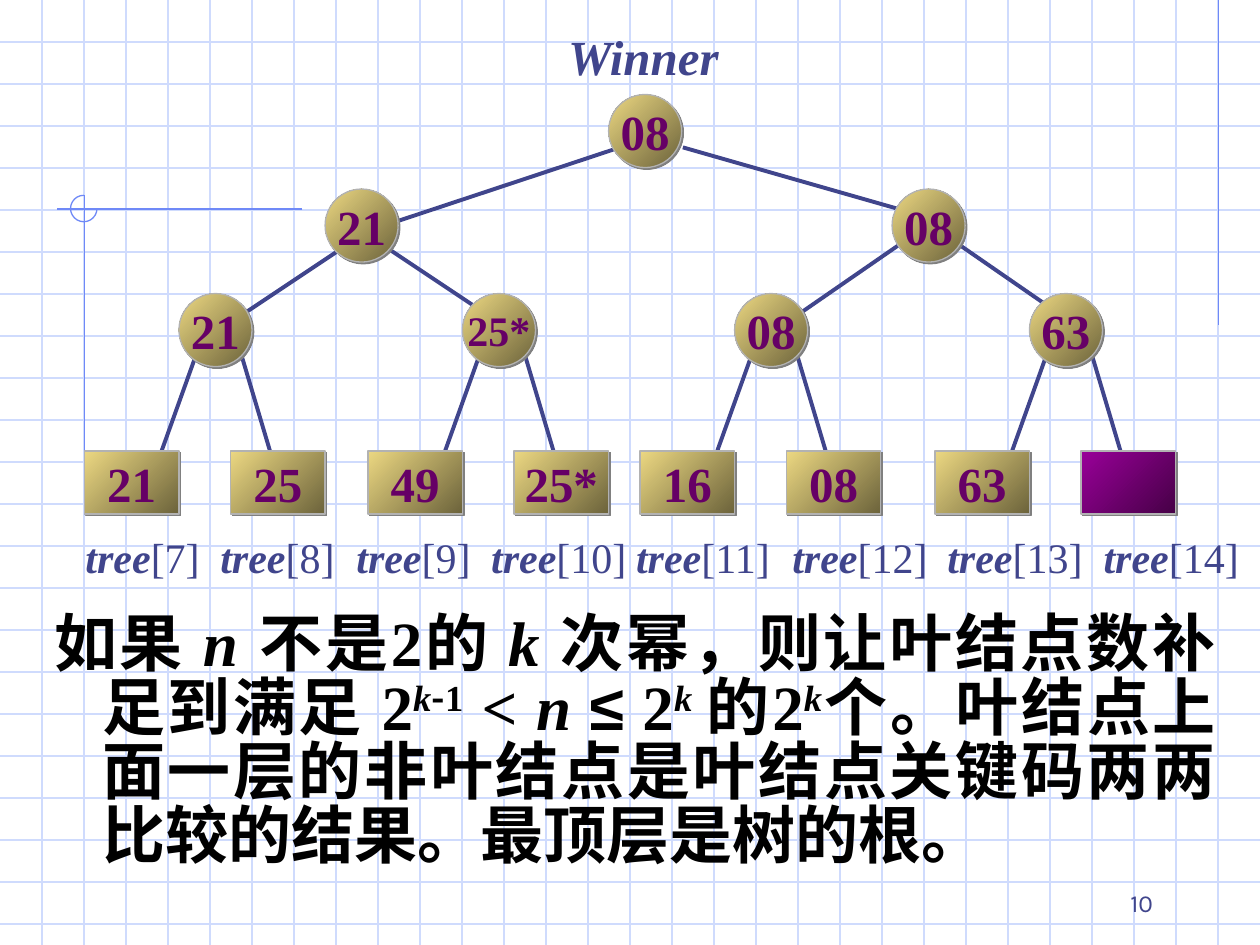
from dataclasses import dataclass

import pptx
import pptx.dml.color
import pptx.enum.shapes
import pptx.enum.text
import pptx.oxml.ns
import pptx.util
from lxml import etree

Inches = pptx.util.Inches
Pt = pptx.util.Pt
RGB = pptx.dml.color.RGBColor
Form = pptx.enum.shapes.MSO_SHAPE
Align = pptx.enum.text.PP_ALIGN
Anchor = pptx.enum.text.MSO_ANCHOR
qn = pptx.oxml.ns.qn

GRID = RGB(0xCF, 0xDB, 0xFD)
TRIM = RGB(0x6F, 0x89, 0xF7)
NAVY = RGB(0x40, 0x45, 0x8C)
PLUM = RGB(0x66, 0x00, 0x66)
GREY = RGB(0xB2, 0xB2, 0xB2)
BLACK = RGB(0x00, 0x00, 0x00)
GOLD = (RGB(0x6C, 0x63, 0x3B), RGB(0xEC, 0xD8, 0x82))
VIOLET = (RGB(0x46, 0x00, 0x46), RGB(0x99, 0x00, 0x99))
SERIF = "Times New Roman"
HAN = "Noto Sans CJK SC"


@dataclass
class Node:
    text: str
    left: float
    top: float
    size: int = 28


@dataclass
class Edge:
    x1: float
    y1: float
    x2: float
    y2: float


@dataclass
class Part:
    text: str
    bold: bool = True
    slant: bool = False
    sup: bool = False
    face: str = SERIF


ROOT = [Node("08", 4.83, 0.75), Node("21", 2.58, 1.5), Node("08", 7.08, 1.5)]
PAIRS = [
    Node("21", 1.42, 2.33),
    Node("25*", 3.67, 2.33, 24),
    Node("08", 5.83, 2.33),
    Node("63", 8.17, 2.33),
]
KEYS = ["21", "25", "49", "25*", "16", "08", "63", ""]
EDGES = [
    Edge(5.42, 1.17, 7.17, 1.67),
    Edge(3.17, 1.75, 4.92, 1.17),
    Edge(7.17, 1.92, 6.33, 2.5),
    Edge(3, 1.92, 3.75, 2.42),
    Edge(7.58, 1.92, 8.42, 2.5),
    Edge(2.67, 2, 1.92, 2.5),
]
STOPS = [1.07, 2.15, 3.22, 4.37, 5.61, 6.84, 8.08]
NOTE = [
    Part("如果 "),
    Part("n ", slant=True),
    Part("不是2的 "),
    Part("k ", slant=True),
    Part("次幂，则让叶结点数补足到满足 2"),
    Part("k", slant=True, sup=True),
    Part("-", sup=True, face=HAN),
    Part("1", sup=True),
    Part(" < "),
    Part("n ", slant=True),
    Part("≤", face="Arial"),
    Part(" 2"),
    Part("k ", slant=True, sup=True),
    Part("的2"),
    Part("k", slant=True, sup=True),
    Part("个。叶结点上面一层的非叶结点是叶结点关键码两两比较的结果。最顶层是树的根。"),
]


def draw_line(slide, edge: Edge, color: RGB, width: float):
    line = slide.shapes.add_connector(
        pptx.enum.shapes.MSO_CONNECTOR.STRAIGHT,
        Inches(edge.x1), Inches(edge.y1), Inches(edge.x2), Inches(edge.y2),
    )
    line.line.color.rgb = color
    line.line.width = Pt(width)
    etree.SubElement(line.element.spPr, qn("a:effectLst"))
    return line


def draw_back(slide) -> None:
    marks = [
        draw_line(slide, Edge(0, i / 3, 10, i / 3), GRID, 0.75) for i in range(1, 23)
    ] + [
        draw_line(slide, Edge(i / 3, 0, i / 3, 7.5), GRID, 0.75) for i in range(1, 30)
    ]
    for edge in (
        Edge(9.67, 0, 9.67, 2.58),
        Edge(2.4, 1.66, 0.45, 1.66),
        Edge(0.67, 1.55, 0.67, 4.09),
    ):
        marks.append(draw_line(slide, edge, TRIM, 0.75))
    arc = slide.shapes.add_shape(
        Form.ARC, Inches(0.56), Inches(1.55), Inches(0.21), Inches(0.21)
    )
    arc.adjustments[0] = 0
    arc.adjustments[1] = 270 * 0.6
    arc.fill.background()
    arc.line.color.rgb = TRIM
    arc.line.width = Pt(0.75)
    arc.shadow.inherit = False
    for mark in marks + [arc]:
        slide.slide_layout.shapes.element.append(mark.element)


def place(shape, left: float, top: float, width: float, height: float) -> None:
    shape.left, shape.top = Inches(left), Inches(top)
    shape.width, shape.height = Inches(width), Inches(height)


def set_frame(shape, wrap: bool, anchor):
    frame = shape.text_frame
    frame.auto_size = pptx.enum.text.MSO_AUTO_SIZE.NONE
    frame.word_wrap = wrap
    frame.vertical_anchor = anchor
    return frame.paragraphs[0]


def write(para, parts: list[Part], size: float, color: RGB) -> None:
    for part in parts:
        run = para.add_run()
        run.text = part.text
        font = run.font
        font.name, font.size = part.face, Pt(size)
        font.bold, font.italic = part.bold, part.slant
        font.color.rgb = color
        props = run._r.get_or_add_rPr()
        etree.SubElement(props, qn("a:ea"), typeface=HAN)
        if part.sup:
            props.set("baseline", "30000")


def draw_node(slide, node: Node, form, width: float, height: float) -> None:
    shape = slide.shapes.add_shape(
        form, Inches(node.left), Inches(node.top), Inches(width), Inches(height)
    )
    shape.fill.gradient()
    shape.fill.gradient_angle = 135
    tones = GOLD if node.text else VIOLET
    for stop, tone in zip(shape.fill.gradient_stops, tones):
        stop.color.rgb = tone
    shape.line.color.rgb = GREY
    shape.line.width = Pt(0.75)
    shape.shadow.inherit = False
    cast = etree.SubElement(
        shape.element.spPr.find(qn("a:effectLst")), qn("a:outerShdw"),
        dist=str(Pt(1.4)), dir="2700000", algn="ctr", rotWithShape="0",
    )
    etree.SubElement(cast, qn("a:srgbClr"), val="808080")
    if node.text:
        para = set_frame(shape, False, Anchor.MIDDLE)
        para.alignment = Align.CENTER
        write(para, [Part(node.text)], node.size, PLUM)


def draw_tree(slide) -> None:
    edges = list(EDGES)
    leaves = []
    for i, node in enumerate(PAIRS):
        x = node.left
        edges.append(Edge(x + 0.16, 2.75, x - 0.17, 3.67))
        edges.append(Edge(x + 0.5, 2.83, x + 0.75, 3.67))
        leaves.append(Node(KEYS[2 * i], x - 0.75, 3.58))
        leaves.append(Node(KEYS[2 * i + 1], x + 0.41, 3.58))
    for edge in edges:
        draw_line(slide, edge, NAVY, 2.25)
    for node in ROOT + PAIRS:
        draw_node(slide, node, Form.OVAL, 0.58, 0.58)
    for leaf in leaves:
        draw_node(slide, leaf, Form.RECTANGLE, 0.75, 0.5)


def add_text(slide, left: float, top: float, width: float, anchor):
    box = slide.shapes.add_textbox(Inches(left), Inches(top), Inches(width), Inches(0.5))
    return set_frame(box, True, anchor)


def draw_text(slide) -> None:
    title, body = slide.shapes.title, slide.placeholders[1]
    place(title, 4.41, 0.16, 1.5, 0.57)
    para = set_frame(title, False, Anchor.TOP)
    para.alignment = Align.LEFT
    write(para, [Part("Winner", slant=True)], 28, NAVY)

    place(body, 0.33, 4.83, 9.42, 2.17)
    para = set_frame(body, True, Anchor.TOP)
    para.alignment = Align.JUSTIFY
    para.line_spacing = 0.85
    para.space_before = Pt(0)
    props = para._p.get_or_add_pPr()
    props.set("marL", str(Inches(0.38)))
    props.set("indent", str(Inches(-0.38)))
    etree.SubElement(props, qn("a:buNone"))
    write(para, NOTE, 36, BLACK)

    para = add_text(slide, 0.58, 4.17, 9.42, Anchor.TOP)
    tabs = etree.SubElement(para._p.get_or_add_pPr(), qn("a:tabLst"))
    for stop in STOPS:
        etree.SubElement(tabs, qn("a:tab"), pos=str(Inches(stop)), algn="l")
    for i in range(7, 15):
        tail = "\t" if i < 14 else ""
        parts = [Part("tree", slant=True), Part(f"[{i}]{tail}", bold=False)]
        write(para, parts, 24, NAVY)

    para = add_text(slide, 7.17, 6.83, 2.08, Anchor.BOTTOM)
    para.alignment = Align.RIGHT
    write(para, [Part("10", bold=False, face="Karla")], 14, NAVY)


def main() -> None:
    deck = pptx.Presentation()
    deck.slide_width, deck.slide_height = Inches(10), Inches(7.5)
    slide = deck.slides.add_slide(deck.slide_layouts[1])
    draw_back(slide)
    draw_tree(slide)
    draw_text(slide)
    deck.save("out.pptx")


if __name__ == "__main__":
    main()
